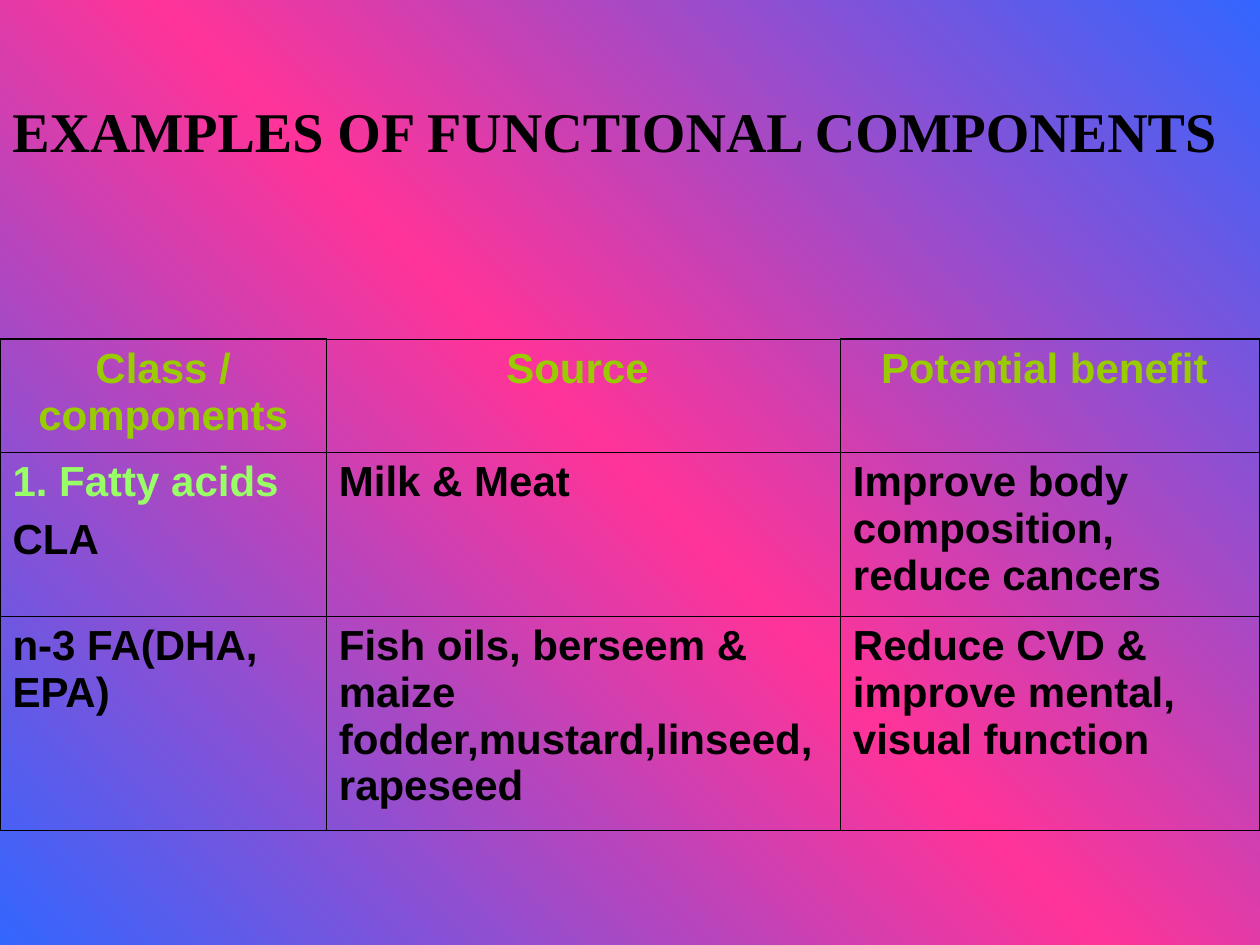
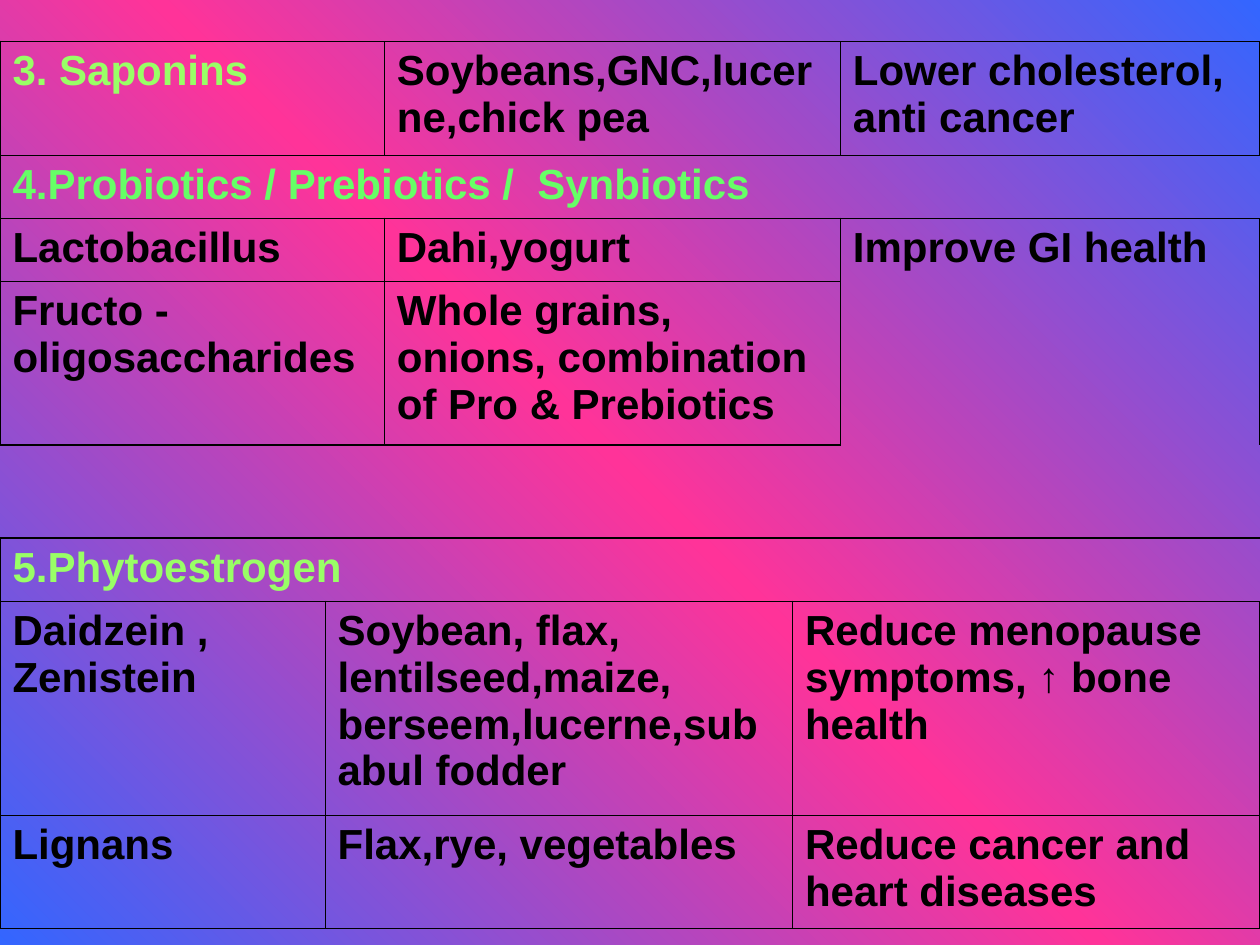
from copy import deepcopy

from lxml import etree
from pptx import Presentation
from pptx.dml.color import RGBColor
from pptx.enum.text import PP_ALIGN
from pptx.oxml.ns import qn
from pptx.util import Emu, Pt

LEFT, CENTER = PP_ALIGN.LEFT, PP_ALIGN.CENTER
BLACK = RGBColor(0x00, 0x00, 0x00)
BLUE = RGBColor(0x33, 0x66, 0xFF)
PINK = RGBColor(0xFF, 0x33, 0x99)
OLIVE = RGBColor(0x99, 0xCC, 0x00)
LIME = RGBColor(0x99, 0xFF, 0x66)
GREEN = RGBColor(0x66, 0xFF, 0x66)
PLAIN = "{2D5ABB26-0587-4C30-8999-92F81FD0307C}"  # table style without grid
PX = 9144  # 100 px to the inch
THIN, THICK = Pt(0.45), Pt(1.08)


def write(frame, text, color=BLACK, size=24, font="Arial", align=LEFT):
    """The first line takes the colour; lines after it are black."""
    for n, line in enumerate(text.split("\n")):
        para = frame.add_paragraph() if n else frame.paragraphs[0]
        para.alignment = align
        if n:
            para.space_before = Pt(6)
        run = para.add_run()
        run.text = line
        run.font.name, run.font.size, run.font.bold = font, Pt(size), True
        run.font.color.rgb = BLACK if n else color


def edge(cell, tag, width):
    line = etree.SubElement(cell._tc.get_or_add_tcPr(), qn("a:" + tag), w=str(width))
    fill = etree.SubElement(line, qn("a:solidFill"))
    etree.SubElement(fill, qn("a:srgbClr"), val=str(BLACK))


prs = Presentation()
prs.slide_width, prs.slide_height = Emu(1000 * PX), Emu(750 * PX)

# Shared background: blue corners, pink diagonal
master = prs.slide_master
fill = master.background.fill
fill.gradient()
fill.gradient_angle = 45
stops = master.element.xpath(".//p:bg//a:gsLst")[0]
stops.append(deepcopy(stops[-1]))
for stop, color, pos in zip(fill.gradient_stops, (BLUE, PINK, BLUE), (0, 0.5, 1)):
    stop.color.rgb, stop.position = color, pos

first, second = [prs.slides.add_slide(prs.slide_layouts[6]) for _ in range(2)]

# Tables: slide, top, columns, rows, merges (r0, c0, r1, c1), bottom width, cells
tables = [
    (first, 269, (259, 408, 333), (90, 130, 170), [], THICK, [
        [("Class / components", OLIVE, CENTER), ("Source ", OLIVE, CENTER),
         ("Potential benefit ", OLIVE, CENTER)],
        [("1. Fatty acids\nCLA", LIME), ("Milk & Meat",),
         ("Improve body composition, reduce cancers",)],
        [("n-3 FA(DHA, EPA)",),
         ("Fish oils, berseem & maize fodder,mustard,linseed,rapeseed",),
         ("Reduce CVD & improve mental, visual function",)],
    ]),
    (second, 33, (305, 362, 333), (90, 50, 50, 130),
     [(1, 0, 1, 2), (2, 2, 3, 2)], THICK, [
        [("3. Saponins", LIME), ("Soybeans,GNC,lucerne,chick pea",),
         ("Lower cholesterol, anti cancer",)],
        [("4.Probiotics / Prebiotics /  Synbiotics", GREEN)],
        [("Lactobacillus",), ("Dahi,yogurt",), ("Improve GI health",)],
        [("Fructo - oligosaccharides",),
         ("Whole grains, onions, combination of Pro & Prebiotics",)],
    ]),
    (second, 427, (258, 371, 371), (50, 170, 90), [(0, 0, 0, 2)], THIN, [
        [("5.Phytoestrogen", LIME)],
        [("Daidzein , Zenistein",),
         ("Soybean, flax, lentilseed,maize, berseem,lucerne,subabul fodder",),
         ("Reduce menopause symptoms, ↑ bone health",)],
        [("Lignans",), ("Flax,rye, vegetables",),
         ("Reduce cancer and heart diseases",)],
    ]),
]

for slide, top, cols, rows, merges, base, cells in tables:
    frame = slide.shapes.add_table(
        len(rows), len(cols), 0, Emu(top * PX), Emu(sum(cols) * PX), Emu(sum(rows) * PX))
    table = frame.table
    table.first_row = table.horz_banding = False
    table._tbl.tblPr.find(qn("a:tableStyleId")).text = PLAIN
    for col, width in zip(table.columns, cols):
        col.width = Emu(width * PX)
    for row, height in zip(table.rows, rows):
        row.height = Emu(height * PX)
    for r0, c0, r1, c1 in merges:
        table.cell(r0, c0).merge(table.cell(r1, c1))

    # Text
    for r, line in enumerate(cells):
        for c, (text, *look) in enumerate(line):
            color, align = (look + [BLACK, LEFT][len(look):])
            write(table.cell(r, c).text_frame, text, color=color, align=align)

    # Borders: heavy outside, light inside, none within a merge
    for r in range(len(rows)):
        for c in range(len(cols)):
            cell = table.cell(r, c)
            r0, c0, r1, c1 = next(
                (m for m in merges if m[0] <= r <= m[2] and m[1] <= c <= m[3]),
                (r, c, r, c))
            heavy = r == 0 and (c != 1 or c0 != c1)
            if c == c0:
                edge(cell, "lnL", THIN if c else THICK)
            if c == c1:
                edge(cell, "lnR", THICK if c == len(cols) - 1 else THIN)
            if r == r0:
                edge(cell, "lnT", THICK if heavy else THIN)
            if r == r1:
                edge(cell, "lnB", base if r == len(rows) - 1 else THIN)
            cell.fill.background()

# Title
box = first.shapes.add_textbox(0, Emu(72 * PX), Emu(1000 * PX), Emu(64 * PX))
box.text_frame.word_wrap = True
write(box.text_frame, "EXAMPLES OF FUNCTIONAL COMPONENTS", size=32, font="Times New Roman")

prs.save("out.pptx")
